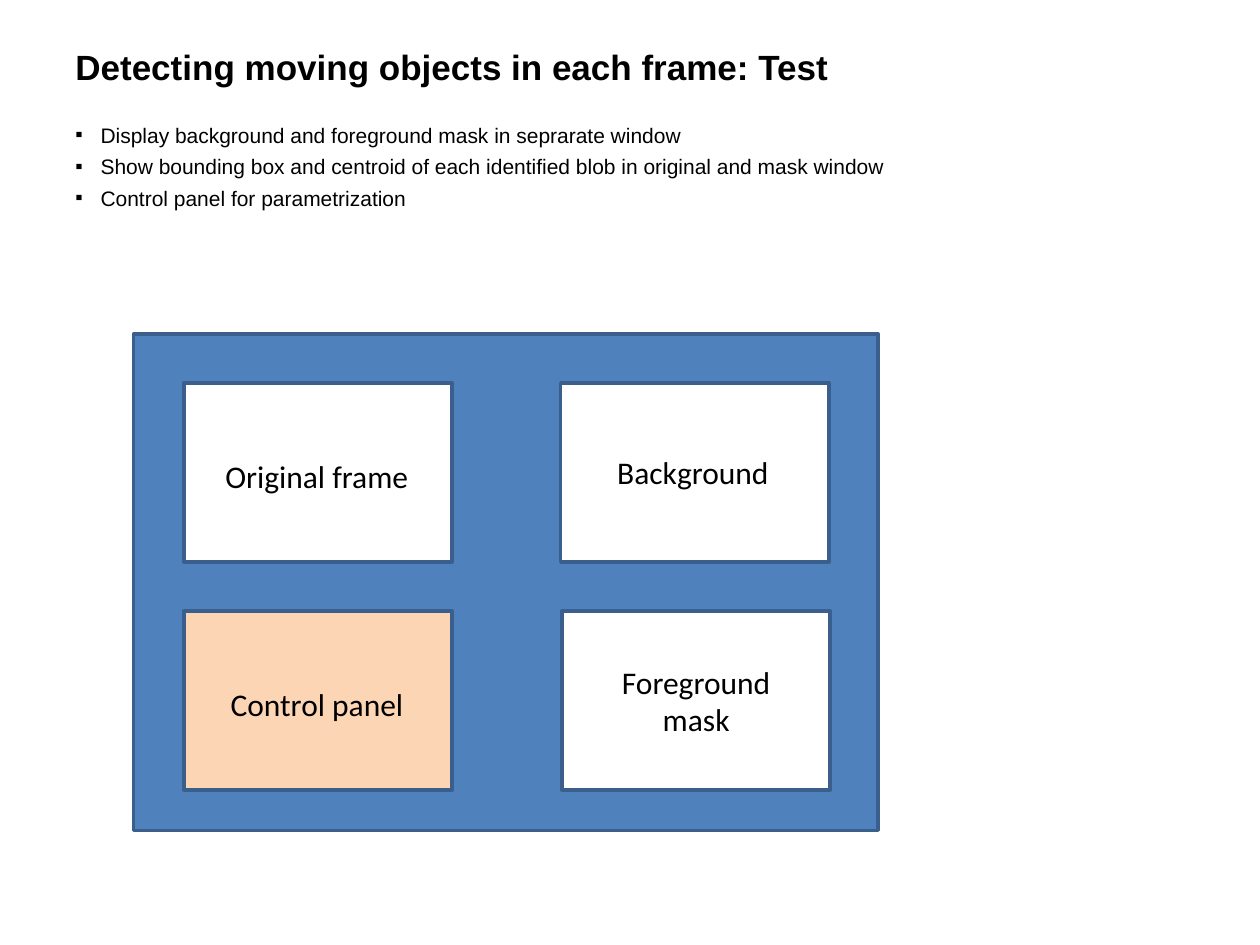
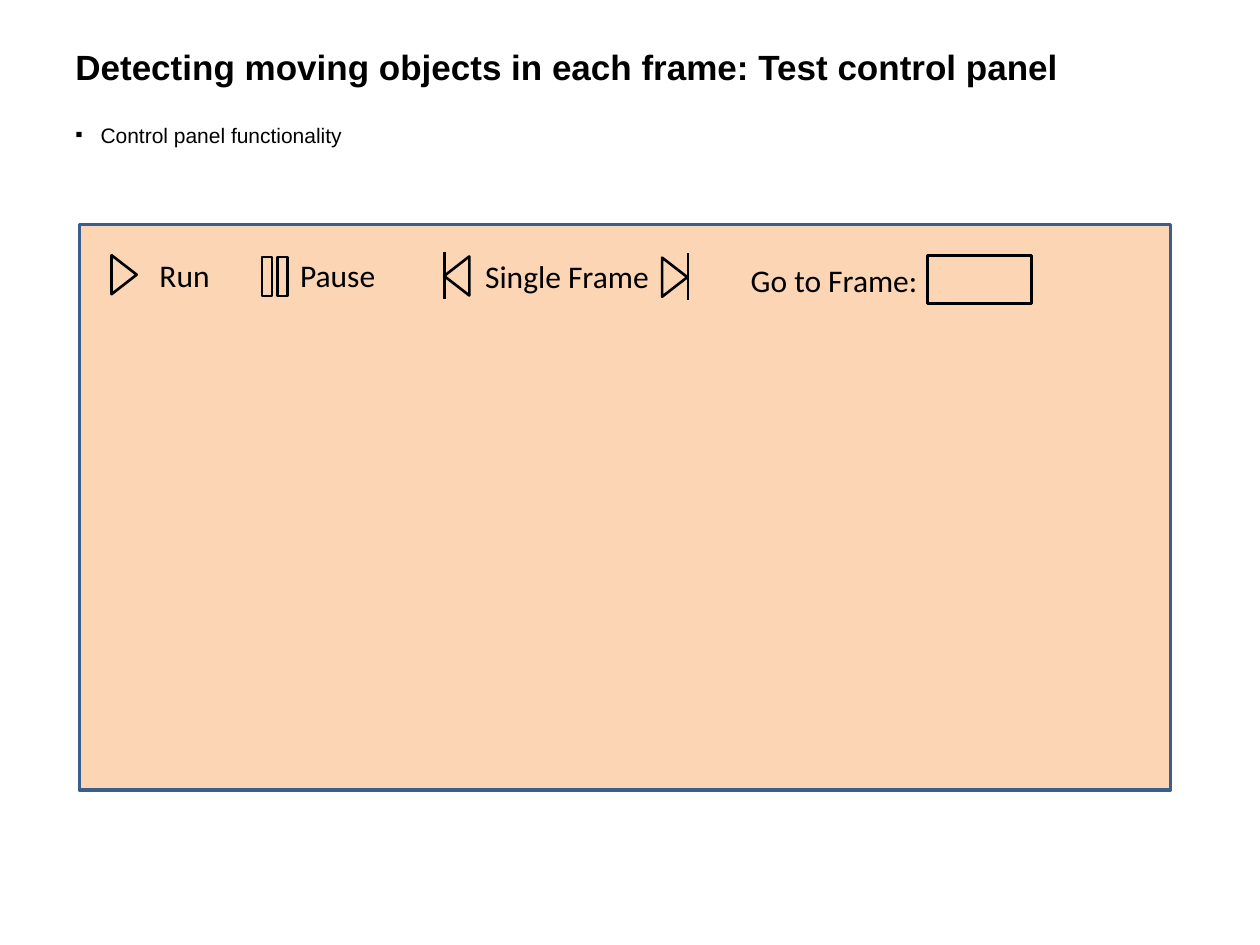
from dataclasses import dataclass
from lxml.etree import SubElement as Sub
from pptx import Presentation
from pptx.dml.color import RGBColor as Rgb
from pptx.enum.shapes import MSO_CONNECTOR as Wire, MSO_SHAPE as Form
from pptx.enum.text import MSO_ANCHOR as Anchor, MSO_AUTO_SIZE as Auto, PP_ALIGN as Align
from pptx.oxml.ns import qn
from pptx.util import Inches, Pt

COLS, ROWS = 100, 75


@dataclass(frozen=True)
class Theme:
    ink: str = "000000"
    paper: str = "FFFFFF"
    blue: str = "4F81BD"
    edge: str = "3A5F8C"
    peach: str = "FCD5B5"
    head: str = "Arial"
    body: str = "Calibri"
    title: int = 20
    list: int = 12
    label: int = 18
    thick: float = 2
    thin: float = 1.5


def write(frame, text, *, font, size, color, bold=False, align=Align.LEFT,
          bullet=None, before=0):
    lines = [text] if isinstance(text, str) else text
    for i, line in enumerate(lines):
        para = frame.add_paragraph() if i else frame.paragraphs[0]
        para.text = line
        para.alignment = align
        para.space_before = Pt(before)
        for run in para.runs:
            run.font.name, run.font.size, run.font.bold = font, Pt(size), bold
            run.font.color.rgb = Rgb.from_string(color)
        if bullet:
            props = para._p.get_or_add_pPr()
            props.set("marL", str(Inches(0.2)))
            props.set("indent", str(-Inches(0.2)))
            Sub(props, qn("a:buFont")).set("typeface", font)
            Sub(props, qn("a:buChar")).set("char", bullet)


class Deck:
    def __init__(self, theme):
        self.theme = theme
        self.prs = Presentation()
        self.prs.slide_width, self.prs.slide_height = Inches(10), Inches(7.5)
        self.slide = self.pool = None

    def grid(self, x, y, w, h):
        col, row = self.prs.slide_width / COLS, self.prs.slide_height / ROWS
        return round(x * col), round(y * row), round(w * col), round(h * row)

    def page(self, title, points, deep):
        t = self.theme
        self.slide = self.prs.slides.add_slide(self.prs.slide_layouts[6])
        self.pool = self.slide.shapes
        self.slide.background.fill.solid()
        self.slide.background.fill.fore_color.rgb = Rgb.from_string(t.paper)
        frame = self.frame(5, 3, 90, 4.6)
        frame.vertical_anchor = Anchor.MIDDLE
        write(frame, title, font=t.head, size=t.title, color=t.ink, bold=True)
        write(self.frame(5, 9.2, 90, deep), points, font=t.head, size=t.list,
              color=t.ink, bullet="▪", before=3.6)

    def frame(self, *area, wrap=True):
        frame = self.pool.add_textbox(*self.grid(*area)).text_frame
        frame.word_wrap = wrap
        return frame

    def label(self, text, *area, align=Align.CENTER):
        t = self.theme
        frame = self.frame(*area, wrap=False)
        frame.auto_size = Auto.SHAPE_TO_FIT_TEXT
        write(frame, text, font=t.body, size=t.label, color=t.ink, align=align)

    def shape(self, form, area, fill=None, turn=0):
        t = self.theme
        item = self.pool.add_shape(form, *self.grid(*area))
        item.shadow.inherit = False
        item.rotation = turn
        if fill:
            item.fill.solid()
            item.fill.fore_color.rgb = Rgb.from_string(fill)
        else:
            item.fill.background()
        item.line.color.rgb = Rgb.from_string(t.edge if fill else t.ink)
        item.line.width = Pt(t.thick if fill else t.thin)

    def box(self, *area, fill=None):
        self.shape(Form.RECTANGLE, area, fill)

    def arrow(self, x, y, turn=90):
        self.shape(Form.ISOSCELES_TRIANGLE, (x, y, 3.1, 2), turn=turn)

    def bar(self, x, y, tall):
        left, top, _, high = self.grid(x, y, 0, tall)
        wire = self.pool.add_connector(Wire.STRAIGHT, left, top, left, top + high)
        wire.line.color.rgb = Rgb.from_string(self.theme.ink)
        wire.line.width = Pt(self.theme.thin)
        Sub(wire._element.spPr, qn("a:effectLst"))

    def group(self, draw):
        self.pool = self.slide.shapes.add_group_shape().shapes
        draw()
        self.pool = self.slide.shapes

    def pause(self, x, y):
        def draw():
            for i in range(2):
                self.box(x + 1.2 * i, y, 0.8, 3.1)
        self.group(draw)

    def step(self, x, y, turn, edge):
        def draw():
            self.arrow(x, y, turn)
            self.bar(edge, y - 0.9, 3.7)
        self.group(draw)


look = Theme()
deck = Deck(look)
HEAD = "Detecting moving objects in each frame: Test"

deck.page(HEAD, [
    "Display background and foreground mask in seprarate window",
    "Show bounding box and centroid of each identified blob in original and mask window",
    "Control panel for parametrization"], 57.8)
deck.box(10.6, 26.5, 59.1, 39.4, fill=look.blue)
for x, y, fill in [(14.6, 30.4, look.paper), (44.5, 30.4, look.paper),
                   (44.6, 48.5, look.paper), (14.6, 48.5, look.peach)]:
    deck.box(x, y, 21.3, 14.2, fill=fill)
deck.label("Background", 48, 35.5, 14.2, 4, align=Align.LEFT)
deck.label("Original frame", 16.9, 35.8, 16.7, 4, align=Align.LEFT)
deck.label("Foreground\vmask", 48.3, 52.1, 13.9, 7.1)
deck.label("Control panel", 17.2, 53.9, 15.9, 4)

deck.page(HEAD + " control panel", "Control panel functionality", 15)
deck.box(6.3, 17.8, 86.6, 44.9, fill=look.peach)
for text, x, y, w in [("Run", 11.6, 19.8, 6.1), ("Pause", 22.8, 19.8, 8),
                      ("Single Frame", 37.4, 19.9, 15.2),
                      ("Go to Frame:", 58.5, 20.2, 15.4)]:
    deck.label(text, x, y, w, 4)
deck.arrow(8.3, 20.8)
deck.pause(20.8, 20.4)
deck.step(34.7, 20.9, 270, 35.3)
deck.step(52, 21, 90, 54.6)
deck.box(73.6, 20.3, 8.3, 3.8)

deck.prs.save("out.pptx")
